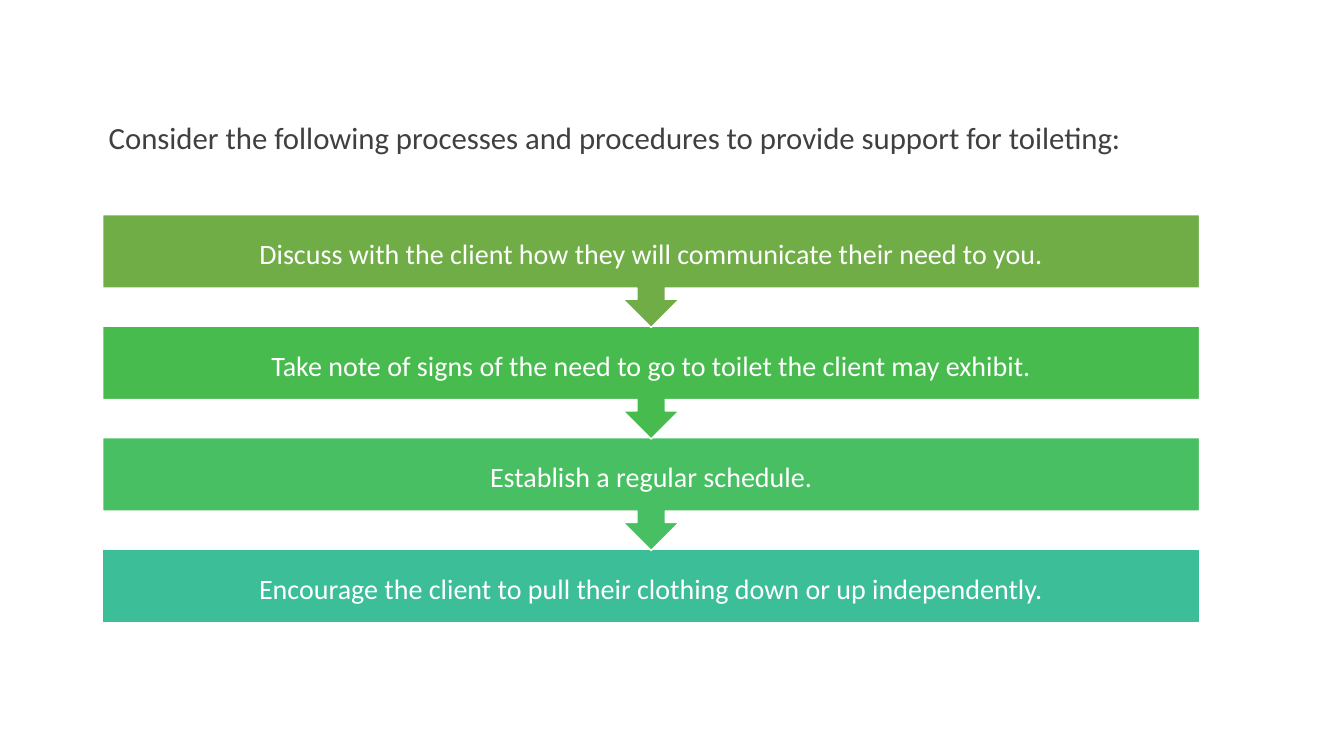
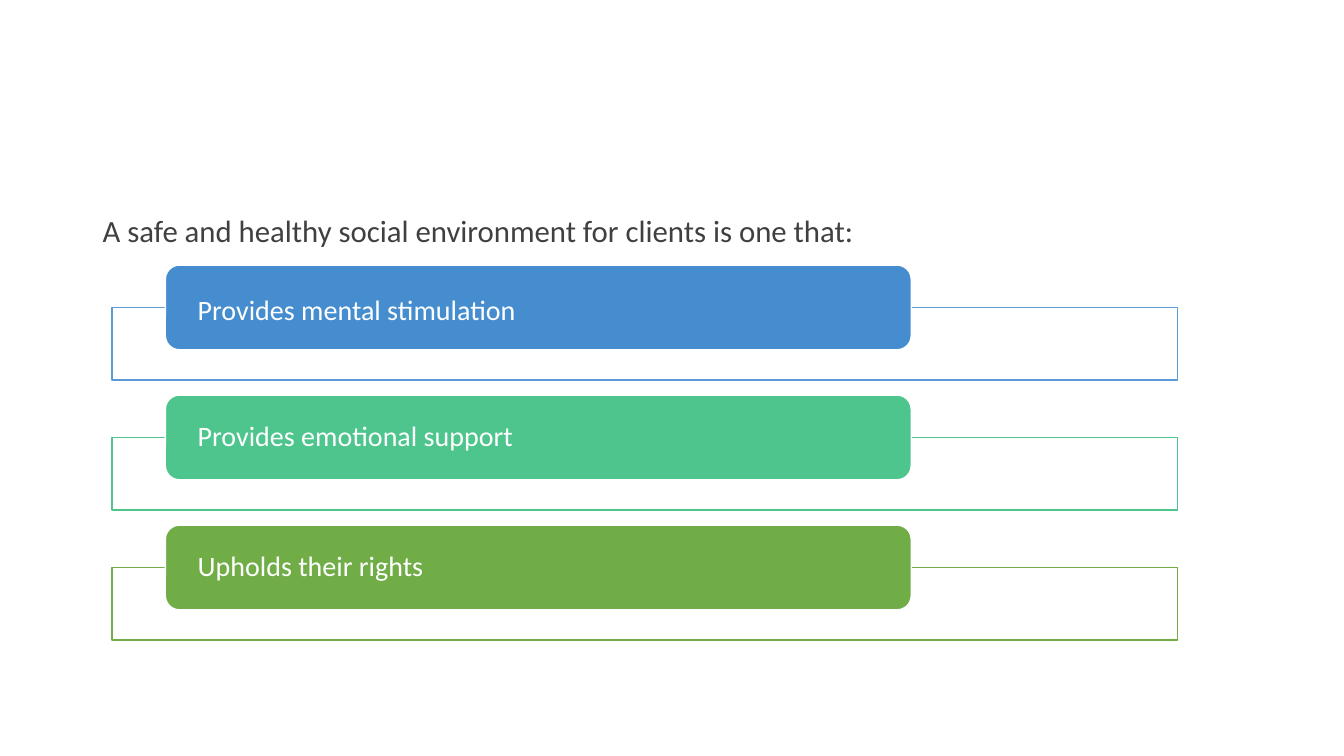
from lxml import etree
from pptx import Presentation
from pptx import util as u
from pptx.dml import color
from pptx.enum import shapes, text

WHITE, INK, GREEN = "FFFFFF", "404040", "70AD47"
FONT = "Calibri"
KIND = shapes.MSO_SHAPE

deck = Presentation()
deck.slide_width, deck.slide_height = u.Inches(13.33), u.Inches(7.5)
COL, ROW = deck.slide_width / 100, deck.slide_height / 100


def hue(fill, code, alpha=100):
    fill.solid()
    fill.fore_color.rgb = color.RGBColor.from_string(code)
    if alpha < 100:
        tint = fill._xPr.find(".//{*}srgbClr")
        tag = tint.tag.replace("srgbClr", "alpha")
        etree.SubElement(tint, tag, val=str(alpha * 1000))


def write(slide, words, x, y, w, h, kind=None, fill=WHITE, line=WHITE, alpha=100,
          size=20, ink=WHITE, align="LEFT", anchor="MIDDLE", pad=(0.1, 0.05),
          lead=1.14, after=6):
    box = [round(n) for n in (x * COL, y * ROW, w * COL, h * ROW)]
    if kind is None:
        item = slide.shapes.add_textbox(*box)
    else:
        item = slide.shapes.add_shape(kind, *box)
        item.shadow.inherit = False
        hue(item.fill, fill, alpha)
        hue(item.line.fill, line)
        item.line.width = u.Pt(1)
    if words:
        frame = item.text_frame
        frame.word_wrap = True
        frame.vertical_anchor = text.MSO_ANCHOR[anchor]
        frame.margin_left = frame.margin_right = u.Inches(pad[0])
        frame.margin_top = frame.margin_bottom = u.Inches(pad[1])
        para = frame.paragraphs[0]
        para.text = words
        para.alignment = text.PP_ALIGN[align]
        para.line_spacing = lead
        para.space_after = u.Pt(after)
        para.font.name, para.font.size = FONT, u.Pt(size)
        hue(para.font.fill, ink)


heads = [
    ("Consider the following processes and procedures to provide support for toileting:", 7.35, 14.4),
    ("A safe and healthy social environment for clients is one that:", 6.9, 26.67),
]
pages = []
for words, x, y in heads:
    page = deck.slides.add_slide(deck.slide_layouts[6])
    write(page, words, x, y, 82.75, 63.47, size=22, ink=INK, anchor="TOP")
    pages.append(page)
flow, list_ = pages

steps = [
    ("Discuss with the client how they will communicate their need to you.", GREEN),
    ("Take note of signs of the need to go to toilet the client may exhibit.", "48BB4F"),
    ("Establish a regular schedule.", "49BF64"),
    ("Encourage the client to pull their clothing down or up independently.", "3CBE99"),
]
last = len(steps) - 1
for i, (words, tone) in reversed(list(enumerate(steps))):
    kind, tall = (KIND.RECTANGLE, 9.73) if i == last else (KIND.DOWN_ARROW_CALLOUT, 14.93)
    write(flow, words, 7.65, 28.4 + i * 14.75, 81.6, tall, kind=kind, fill=tone,
          align="CENTER", pad=(0.16, 0.16))

goals = [
    ("Provides mental stimulation", "458DCF", "5B9BD5", 1.14, 6),
    ("Provides emotional support", "4DC58D", "4DC58D", 0.9, 7),
    ("Upholds their rights", GREEN, GREEN, 0.9, 7),
]
for i, (words, tone, edge, lead, after) in enumerate(goals):
    top = 35.07 + i * 17.2
    write(list_, "", 8.33, top + 5.6, 79.3, 9.6, kind=KIND.RECTANGLE, line=edge, alpha=90)
    write(list_, words, 12.3, top, 55.5, 11.2, kind=KIND.ROUNDED_RECTANGLE, fill=tone,
          pad=(0.28, 0), lead=lead, after=after)

deck.save("out.pptx")
